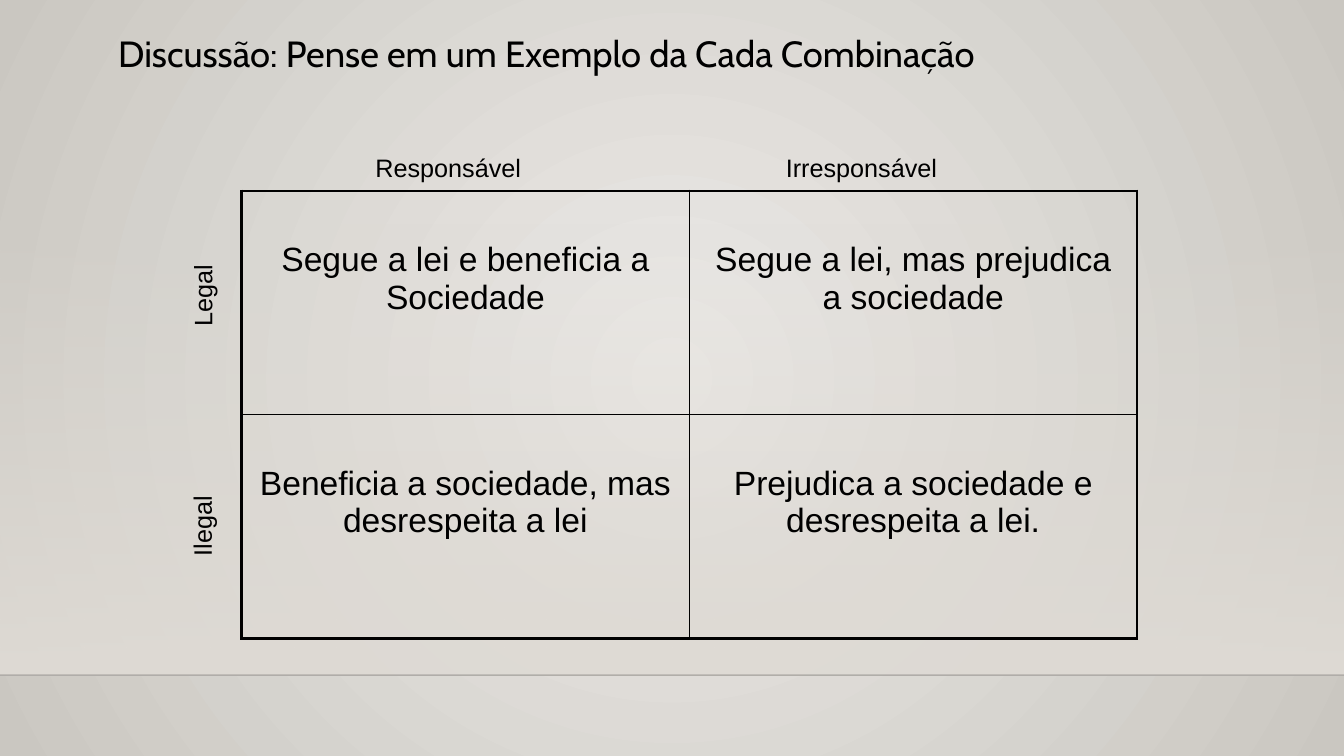
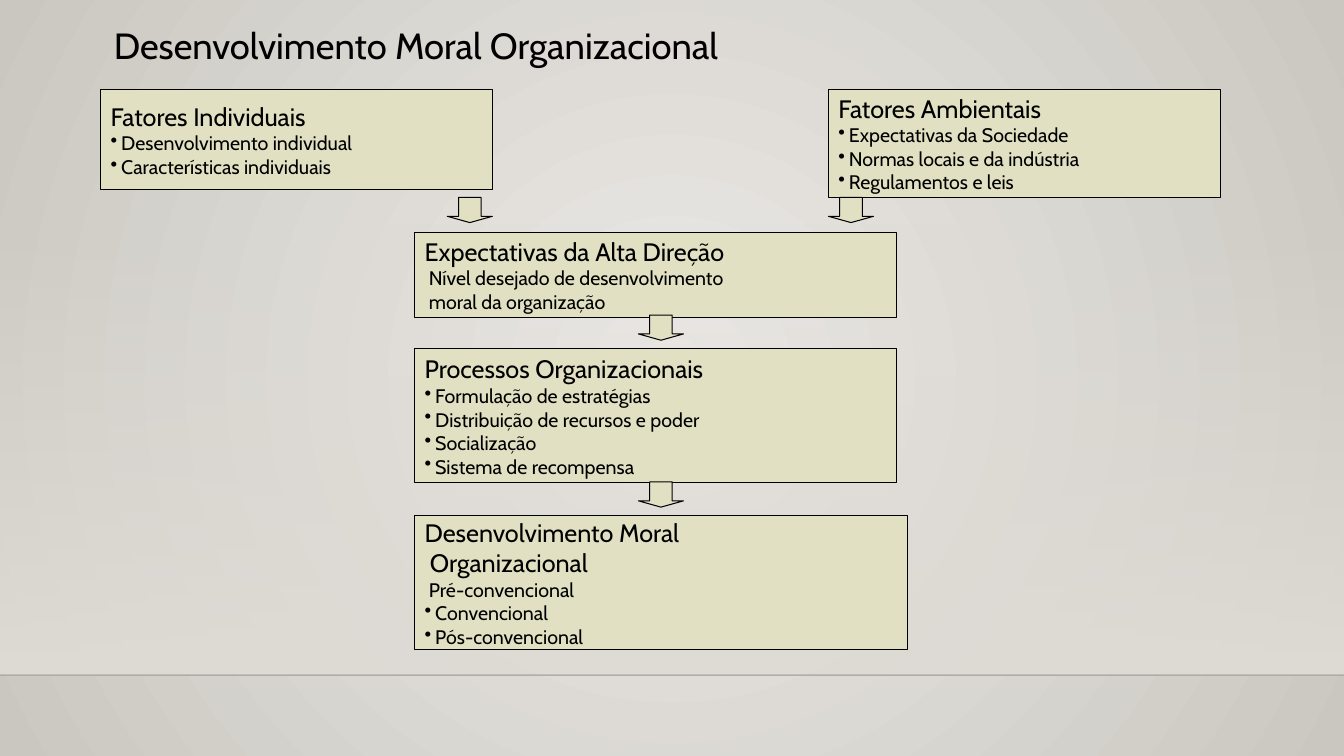
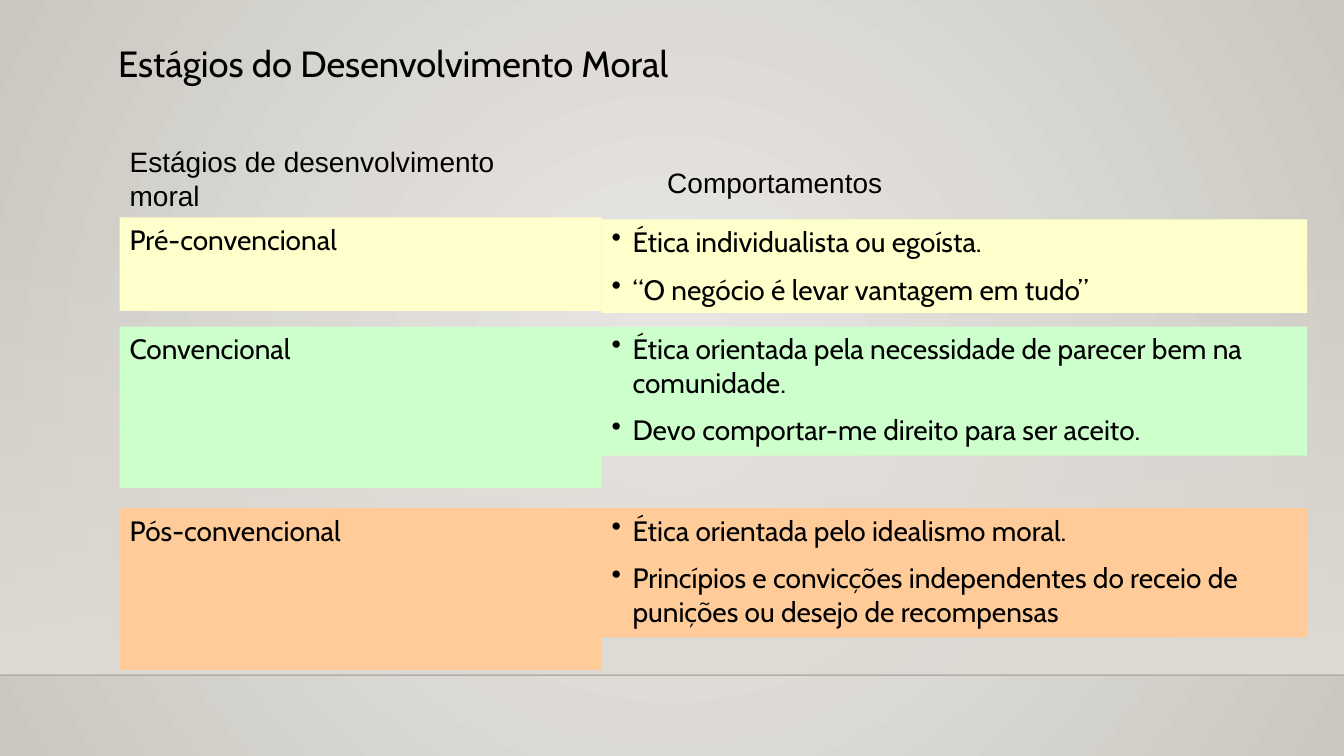
"""Build three slides on legality, responsibility and moral development."""
from dataclasses import dataclass

from pptx import Presentation
from pptx.dml.color import RGBColor
from pptx.enum.shapes import MSO_CONNECTOR, MSO_SHAPE
from pptx.enum.text import MSO_ANCHOR, MSO_AUTO_SIZE, PP_ALIGN
from pptx.oxml.ns import qn
from pptx.oxml.xmlchemy import OxmlElement
from pptx.util import Emu, Pt

RECT, DOWN_ARROW = MSO_SHAPE.RECTANGLE, MSO_SHAPE.DOWN_ARROW
STRAIGHT = MSO_CONNECTOR.STRAIGHT
TOP, MIDDLE = MSO_ANCHOR.TOP, MSO_ANCHOR.MIDDLE
LEFT, CENTER = PP_ALIGN.LEFT, PP_ALIGN.CENTER
GROW = MSO_AUTO_SIZE.SHAPE_TO_FIT_TEXT

EMU_PER_PX = 9525
SLIDE_W, SLIDE_H = 1280, 720
BAND_TOP, FLOOR_Y = 212, 643
SANS, DISPLAY = "Arial", "Cabin"
COLORS = {
    "text": "000000",
    "glow": "ECEAE7",
    "edge": "CAC7C1",
    "band": "DFDBD5",
    "floor": "000001",
    "box": "E1E0C2",
    "yellow": "FFFFCC",
    "green": "CCFFCC",
    "orange": "FFCC99",
}


@dataclass(frozen=True)
class Area:
    left: int
    top: int
    width: int
    height: int

    def emu(self) -> tuple:
        return tuple(px(n) for n in (self.left, self.top, self.width, self.height))


@dataclass(frozen=True)
class Line:
    text: str
    size: int
    font: str = DISPLAY
    indent: int = 0
    bullet: bool = False
    before: int = 0


@dataclass(frozen=True)
class Label:
    text: str
    area: Area
    rotation: int = 0


@dataclass(frozen=True)
class Factor:
    area: Area
    lines: list


@dataclass(frozen=True)
class Stage:
    name: str
    color: str
    name_area: Area
    behavior_area: Area
    behaviors: tuple


def px(length: int) -> Emu:
    return Emu(length * EMU_PER_PX)


def rgb(name: str) -> RGBColor:
    return RGBColor.from_string(COLORS[name])


def heading(text: str, indent: int = 0) -> Line:
    return Line(text, 18, indent=indent)


def detail(text: str) -> Line:
    return Line(text, 14, indent=4)


def item(text: str) -> Line:
    return Line(text, 14, indent=10, bullet=True)


def behavior(text: str) -> Line:
    return Line(text, 20, indent=20, bullet=True, before=10)


def add_child(parent, tag: str, **attributes: str):
    child = OxmlElement(tag)
    for key, value in attributes.items():
        child.set(key, value)
    parent.append(child)
    return child


def set_alpha(parent, percent: int) -> None:
    color = next(parent.iter(qn("a:srgbClr")))
    add_child(color, "a:alpha", val=str(percent * 1000))


def fill_gradient(fill, first: str, last: str) -> None:
    fill.gradient()
    for stop, name in zip(fill.gradient_stops, (first, last)):
        stop.color.rgb = rgb(name)


def style_master(prs, slide) -> None:
    master = prs.slide_master
    fill_gradient(master.background.fill, "glow", "edge")
    gradient = next(master.element.iter(qn("a:gradFill")))
    gradient.remove(gradient.find(qn("a:lin")))
    circle = add_child(gradient, "a:path", path="circle")
    add_child(circle, "a:fillToRect", l="50000", t="50000", r="50000", b="50000")

    band_area = Area(0, BAND_TOP, SLIDE_W, FLOOR_Y - BAND_TOP)
    band = slide.shapes.add_shape(RECT, *band_area.emu())
    band.shadow.inherit = False
    band.line.fill.background()
    fill_gradient(band.fill, "band", "band")
    band.fill.gradient_angle = 270
    set_alpha(band.element.spPr, 0)

    floor = slide.shapes.add_connector(STRAIGHT, 0, px(FLOOR_Y), px(SLIDE_W), px(FLOOR_Y))
    floor.line.color.rgb = rgb("floor")
    floor.line.width = Pt(1)
    set_alpha(floor.element.spPr, 20)
    add_child(floor.element.spPr, "a:effectLst")

    for number, part in enumerate((band, floor), start=101):
        next(part.element.iter(qn("p:cNvPr"))).set("id", str(number))
        master.shapes.element.append(part.element)


def write(frame, lines: list, align=LEFT) -> None:
    for position, line in enumerate(lines):
        paragraph = frame.add_paragraph() if position else frame.paragraphs[0]
        paragraph.text = line.text
        paragraph.alignment = align
        properties = paragraph._p.get_or_add_pPr()
        if line.indent:
            properties.set("marL", str(px(line.indent)))
        if line.bullet:
            properties.set("indent", str(-px(line.indent)))
            add_child(properties, "a:buChar", char="•")
        if line.before:
            paragraph.space_before = Pt(line.before)
        paragraph.font.size = Pt(line.size)
        paragraph.font.name = line.font
        paragraph.font.color.rgb = rgb("text")


def add_text(slide, area: Area, line: Line, anchor=TOP, wrap: bool = True, rotation: int = 0) -> None:
    box = slide.shapes.add_textbox(*area.emu())
    box.rotation = rotation
    frame = box.text_frame
    frame.word_wrap = wrap
    frame.auto_size = GROW
    frame.vertical_anchor = anchor
    write(frame, [line])


def add_title(slide, text: str, left: int, top: int) -> None:
    add_text(slide, Area(left, top, 1060, 51), Line(text, 26), MIDDLE)


def add_block(slide, area: Area, color: str, lines: list, anchor=TOP, outlined: bool = False, kind=RECT) -> None:
    block = slide.shapes.add_shape(kind, *area.emu())
    block.shadow.inherit = False
    block.fill.solid()
    block.fill.fore_color.rgb = rgb(color)
    if outlined:
        block.line.color.rgb = rgb("text")
        block.line.width = Pt(0.75)
    else:
        block.line.fill.background()
    if kind == DOWN_ARROW:
        block.adjustments[0], block.adjustments[1] = 0.5, 0.25
    block.text_frame.word_wrap = True
    block.text_frame.vertical_anchor = anchor
    write(block.text_frame, lines)


def add_border(cell, position: int, side: str, width: float) -> None:
    border = OxmlElement(f"a:ln{side}")
    border.set("w", str(Pt(width)))
    solid = add_child(border, "a:solidFill")
    add_child(solid, "a:srgbClr", val=COLORS["text"])
    cell._tc.get_or_add_tcPr().insert(position, border)


def add_matrix(slide, area: Area, rows: tuple) -> None:
    matrix = slide.shapes.add_table(len(rows), len(rows[0]), *area.emu()).table
    matrix.first_row = matrix.horz_banding = False
    last_row, last_column = len(rows) - 1, len(rows[0]) - 1
    for r, texts in enumerate(rows):
        for c, text in enumerate(texts):
            cell = matrix.cell(r, c)
            cell.fill.background()
            cell.margin_left = cell.margin_right = px(12)
            cell.margin_top, cell.margin_bottom = px(48), px(5)
            write(cell.text_frame, [Line(text, 24, SANS)], CENTER)
            outer = {"L": c == 0, "R": c == last_column, "T": r == 0, "B": r == last_row}
            for position, (side, is_outer) in enumerate(outer.items()):
                add_border(cell, position, side, 2.25 if is_outer else 1)


def build_combinations(slide) -> None:
    add_title(slide, "Discussão: Pense em um Exemplo da Cada Combinação", 103, 25)
    add_matrix(slide, Area(230, 182, 853, 426), (
        ("Segue a lei e beneficia a Sociedade", "Segue a lei, mas prejudica a sociedade"),
        ("Beneficia a sociedade, mas desrespeita a lei", "Prejudica a sociedade e desrespeita a lei."),
    ))
    labels = (
        Label("Responsável", Area(348, 140, 159, 38)),
        Label("Irresponsável", Area(739, 140, 165, 38)),
        Label("Legal", Area(153, 262, 79, 38), 270),
        Label("Ilegal", Area(153, 481, 78, 38), 270),
    )
    for label in labels:
        add_text(slide, label.area, Line(label.text, 18, SANS), wrap=False, rotation=label.rotation)


def build_organization(slide) -> None:
    add_title(slide, "Desenvolvimento Moral Organizacional", 99, 17)
    factors = (
        Factor(Area(96, 85, 373, 96), [
            heading("Fatores Individuais"),
            item("Desenvolvimento individual"),
            item("Características individuais"),
        ]),
        Factor(Area(789, 85, 373, 103), [
            heading("Fatores Ambientais"),
            item("Expectativas da Sociedade"),
            item("Normas locais e da indústria"),
            item("Regulamentos e leis"),
        ]),
        Factor(Area(395, 221, 459, 81), [
            heading("Expectativas da Alta Direção"),
            detail("Nível desejado de desenvolvimento"),
            detail("moral da organização"),
        ]),
        Factor(Area(395, 332, 459, 128), [
            heading("Processos Organizacionais"),
            item("Formulação de estratégias"),
            item("Distribuição de recursos e poder"),
            item("Socialização"),
            item("Sistema de recompensa"),
        ]),
        Factor(Area(395, 491, 469, 128), [
            heading("Desenvolvimento Moral"),
            heading("Organizacional", 5),
            detail("Pré-convencional"),
            item("Convencional"),
            item("Pós-convencional"),
        ]),
    )
    for factor in factors:
        add_block(slide, factor.area, "box", factor.lines, MIDDLE, outlined=True)
    for left, top in ((426, 188), (789, 188), (608, 300), (608, 459)):
        add_block(slide, Area(left, top, 43, 24), "box", [], outlined=True, kind=DOWN_ARROW)


def build_stages(slide) -> None:
    add_title(slide, "Estágios do Desenvolvimento Moral", 103, 34)
    headers = (
        Label("Estágios de desenvolvimento moral", Area(114, 133, 426, 74)),
        Label("Comportamentos", Area(626, 153, 565, 41)),
    )
    for header in headers:
        add_text(slide, header.area, Line(header.text, 20, SANS))
    stages = (
        Stage("Pré-convencional", "yellow", Area(114, 207, 459, 89), Area(573, 209, 672, 89), (
            "Ética individualista ou egoísta.",
            "“O negócio é levar vantagem em tudo”",
        )),
        Stage("Convencional", "green", Area(114, 311, 459, 154), Area(573, 311, 672, 123), (
            "Ética orientada pela necessidade de parecer bem na comunidade.",
            "Devo comportar-me direito para ser aceito.",
        )),
        Stage("Pós-convencional", "orange", Area(114, 484, 459, 154), Area(573, 484, 672, 123), (
            "Ética orientada pelo idealismo moral.",
            "Princípios e convicções independentes do receio de punições ou desejo de recompensas",
        )),
    )
    for stage in stages:
        add_block(slide, stage.name_area, stage.color, [Line(stage.name, 20)])
        add_block(slide, stage.behavior_area, stage.color, [behavior(text) for text in stage.behaviors])


def main() -> None:
    prs = Presentation()
    prs.slide_width, prs.slide_height = px(SLIDE_W), px(SLIDE_H)
    blank = prs.slide_layouts[6]
    builders = (build_combinations, build_organization, build_stages)
    slides = [prs.slides.add_slide(blank) for _ in builders]
    style_master(prs, slides[0])
    for build, slide in zip(builders, slides):
        build(slide)
    prs.save("out.pptx")


if __name__ == "__main__":
    main()
